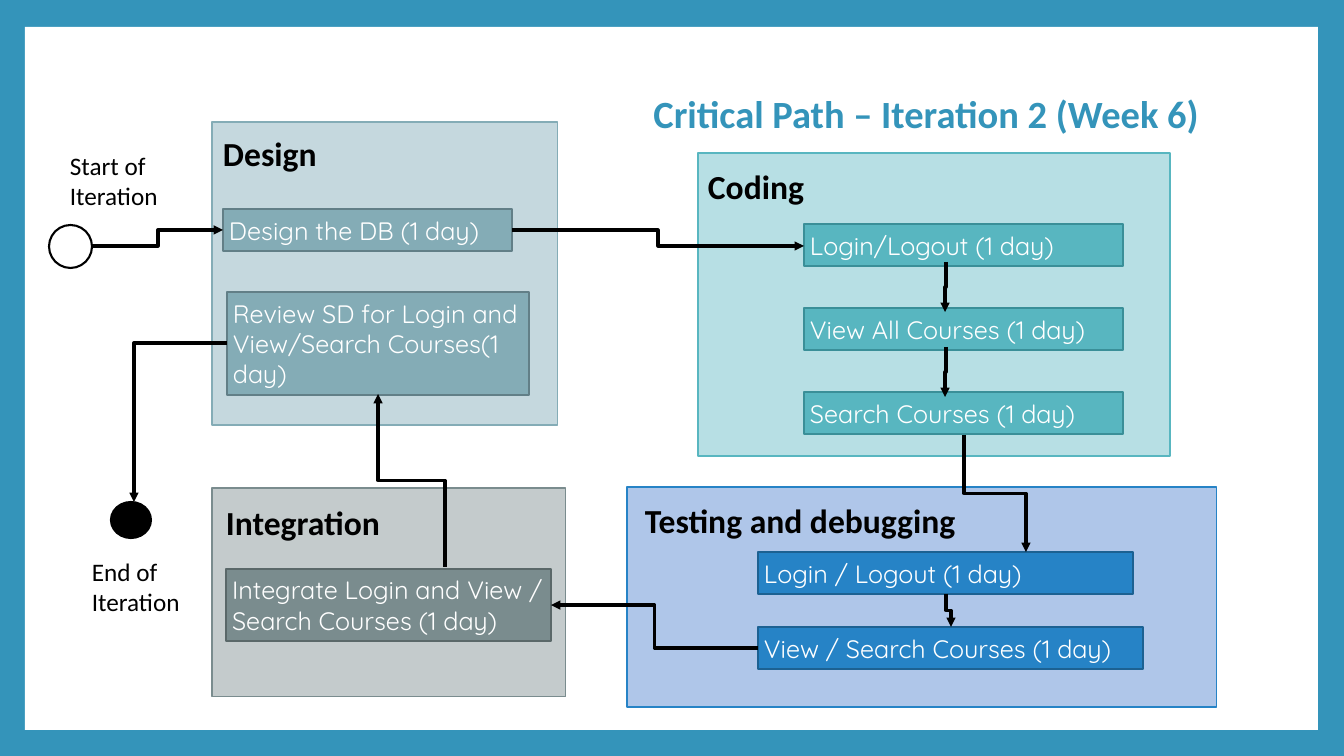
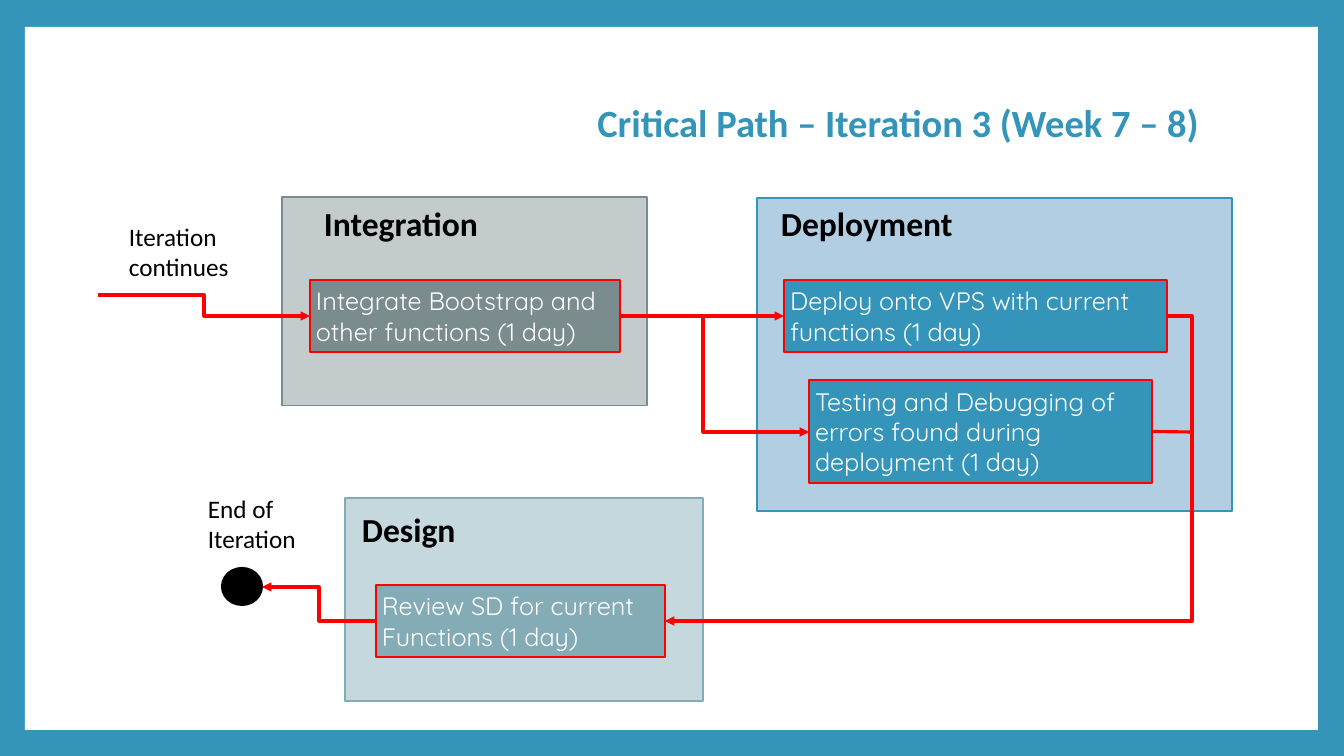
from collections import namedtuple
from dataclasses import dataclass

from lxml.etree import SubElement
from pptx import Presentation
from pptx.dml.color import RGBColor
from pptx.enum.shapes import MSO_CONNECTOR, MSO_SHAPE
from pptx.enum.text import MSO_ANCHOR, MSO_AUTO_SIZE, PP_ALIGN
from pptx.oxml.ns import qn
from pptx.util import Pt

PX = 9071  # EMU in one px, 100.8 px to the inch

Stage = namedtuple("Stage", "panel task edge")


@dataclass(frozen=True)
class Theme:
    accent: str = "3494BA"
    ink: str = "000000"
    paper: str = "FFFFFF"
    critical: str = "FF0000"
    design: Stage = Stage("C5D8DE", "84ACB6", "627F87")
    coding: Stage = Stage("B7DFE4", "58B6C0", "3A8F98")
    testing: Stage = Stage("AFC6E9", "2683C6", "1C6192")
    integration: Stage = Stage("C4CBCC", "7A8C8E", "5A6869")
    deployment: Stage = Stage("B1CEE2", "3494BA", "FF0000")
    text_font: str = "Calibri"
    task_font: str = "Quicksand"
    title_size: float = 27.5
    label_size: int = 24
    body_size: int = 18
    panel_line: float = 0.79
    task_line: float = 1.5
    link_line: float = 2.25


THEME = Theme()


def add_box(slide, preset, bounds, fill, edge, weight):
    box = slide.shapes.add_shape(preset, *(n * PX for n in bounds))
    box.shadow.inherit = False
    box.fill.solid()
    box.fill.fore_color.rgb = RGBColor.from_string(fill)
    if edge:
        box.line.color.rgb = RGBColor.from_string(edge)
        box.line.width = Pt(weight)
    else:
        box.line.fill.background()
    return box


def add_link(slide, start, end, route, colour, bend=0.5):
    """Routes: straight, plain (straight, no arrowhead), across, down,
    across-corner and down-corner; the first word is the first direction."""
    straight = route in ("straight", "plain")
    kind = MSO_CONNECTOR.STRAIGHT if straight else MSO_CONNECTOR.ELBOW
    link = slide.shapes.add_connector(kind, *(n * PX for n in start + end))
    link.line.color.rgb = RGBColor.from_string(colour)
    link.line.width = Pt(THEME.link_line)
    properties = link._element.spPr
    SubElement(properties, qn("a:effectLst"))
    if route != "plain":
        SubElement(link.line._get_or_add_ln(), qn("a:tailEnd"), type="triangle")
    if straight:
        return link

    # Turn the elbow a quarter when it sets off vertically
    dx, dy = end[0] - start[0], end[1] - start[1]
    turn, flip_h, flip_v = 0, dx < 0, dy < 0
    if route.startswith("down"):
        turn, flip_h, flip_v = 270, dy > 0, dx < 0
        middle_x, middle_y = link.left + link.width // 2, link.top + link.height // 2
        link.width, link.height = link.height, link.width
        link.left, link.top = middle_x - link.width // 2, middle_y - link.height // 2
    if flip_h and flip_v:
        turn, flip_h, flip_v = (turn + 180) % 360, False, False
    frame = properties.find(qn("a:xfrm"))
    frame.set("rot", str(turn * 60000))
    frame.set("flipH", str(int(flip_h)))
    frame.set("flipV", str(int(flip_v)))

    geometry = properties.find(qn("a:prstGeom"))
    if route.endswith("corner"):
        geometry.set("prst", "bentConnector2")
    else:
        SubElement(geometry.find(qn("a:avLst")), qn("a:gd"), name="adj1",
                   fmla=f"val {round(bend * 100000)}")
    return link


# Content: panels are (label, label bounds, panel bounds, stage),
# tasks (text, bounds, stage), nodes (bounds, fill), captions (text, bounds)
coding_tasks = ["Login/Logout (1 day)", "View All Courses (1 day)", "Search Courses (1 day)"]
iterations = [
    dict(
        title="Critical Path – Iteration 2 (Week 6)",
        title_height=81,
        colour=THEME.ink,
        panels=[
            ("Integration", (216, 497, 269, 50), (212, 488, 354, 209), THEME.integration),
            ("Design", (213, 128, 345, 50), (212, 122, 346, 303), THEME.design),
            ("Coding", (698, 161, 472, 50), (698, 153, 472, 303), THEME.coding),
            ("Testing and debugging", (635, 495, 360, 50), (627, 487, 590, 220), THEME.testing),
        ],
        tasks=[
            ("Design the DB (1 day)", (223, 209, 289, 42), THEME.design),
            ("Review SD for Login and View/Search Courses(1 day)",
             (227, 292, 302, 103), THEME.design),
            *((text, (804, 224 + 84 * row, 319, 42), THEME.coding)
              for row, text in enumerate(coding_tasks)),
            ("Login / Logout (1 day)", (758, 552, 375, 42), THEME.testing),
            ("View / Search Courses (1 day)", (758, 627, 385, 42), THEME.testing),
            ("Integrate Login and View / Search Courses (1 day)",
             (226, 569, 325, 72), THEME.integration),
        ],
        nodes=[((49, 225, 43, 43), THEME.paper), ((111, 502, 40, 36), THEME.ink)],
        captions=[("Start of Iteration", (60, 145, 114, 71)),
                  ("End of Iteration", (82, 551, 114, 71))],
        links=[
            ((93, 246), (223, 230), "across"),
            ((512, 230), (804, 246), "across"),
            ((946, 262), (945, 312), "down"),
            ((946, 347), (945, 397), "down"),
            ((964, 435), (1026, 552), "down"),
            ((946, 594), (951, 627), "down"),
            ((758, 648), (551, 605), "across"),
            ((445, 567), (378, 394), "down"),
            ((227, 343), (134, 502), "across-corner"),
        ],
        joins=[],
    ),
    dict(
        title="Critical Path – Iteration 3 (Week 7 – 8)",
        title_height=98,
        colour=THEME.critical,
        panels=[
            ("Deployment", (771, 198, 269, 50), (757, 198, 475, 313), THEME.deployment),
            ("Integration", (314, 198, 269, 50), (282, 197, 365, 209), THEME.integration),
            ("Design", (352, 504, 269, 50), (345, 498, 358, 203), THEME.design),
        ],
        tasks=[
            ("Integrate Bootstrap and other functions (1 day)",
             (310, 280, 310, 72), THEME.integration),
            ("Deploy onto VPS with current functions (1 day)",
             (784, 280, 383, 72), THEME.deployment),
            ("Testing and Debugging of errors found during deployment (1 day)",
             (809, 380, 343, 103), THEME.deployment),
            ("Review SD for current Functions (1 day)", (376, 585, 289, 72), THEME.design),
        ],
        nodes=[((222, 568, 40, 37), THEME.ink)],
        captions=[("End of Iteration", (198, 488, 114, 71)),
                  ("Iteration continues", (119, 216, 127, 71))],
        links=[
            ((98, 295), (310, 316), "across"),
            ((703, 316), (809, 432), "down-corner"),
            ((1167, 316), (665, 621), "across", -0.05),
            ((376, 621), (262, 587), "across"),
        ],
        # Straight links: start, end, route, task left from, task arrived at
        joins=[((620, 316), (784, 316), "straight", 0, 1),
               ((1152, 432), (1192, 432), "plain", 2, None)],
    ),
]

deck = Presentation()
deck.slide_width, deck.slide_height = 1344 * PX, 756 * PX
master = deck.slide_master
master.background.fill.solid()
master.background.fill.fore_color.rgb = RGBColor.from_string(THEME.accent)

for number, iteration in enumerate(iterations):
    slide = deck.slides.add_slide(deck.slide_layouts[5])

    # White page, held once by the master
    if number == 0:
        page = add_box(slide, MSO_SHAPE.RECTANGLE, (25, 27, 1293, 703), THEME.paper, None, 0)
        page._element.nvSpPr.cNvPr.set("id", "20")
        master.shapes._spTree.insert(2, page._element)

    # Title
    title = slide.shapes.title
    title.left, title.top = 151 * PX, 76 * PX
    title.width, title.height = 1058 * PX, iteration["title_height"] * PX
    title.text_frame.text = iteration["title"]
    title.text_frame.vertical_anchor = MSO_ANCHOR.MIDDLE
    title.text_frame.auto_size = MSO_AUTO_SIZE.NONE
    heading = title.text_frame.paragraphs[0]
    heading.alignment = PP_ALIGN.RIGHT
    heading.line_spacing = 0.9
    heading.font.name = THEME.text_font
    heading.font.size = Pt(THEME.title_size)
    heading.font.bold = True
    heading.font.color.rgb = RGBColor.from_string(THEME.accent)

    # Stage panels
    for _, _, bounds, stage in iteration["panels"]:
        add_box(slide, MSO_SHAPE.RECTANGLE, bounds, stage.panel, stage.task, THEME.panel_line)

    # Panel labels and captions
    labels = [(text, bounds, THEME.label_size, True)
              for text, bounds, _, _ in iteration["panels"]]
    labels += [(text, bounds, THEME.body_size, False)
               for text, bounds in iteration["captions"]]
    for text, bounds, size, bold in labels:
        label = slide.shapes.add_textbox(*(n * PX for n in bounds)).text_frame
        label.word_wrap = True
        label.auto_size = MSO_AUTO_SIZE.SHAPE_TO_FIT_TEXT
        label.text = text
        font = label.paragraphs[0].font
        font.name, font.size, font.bold = THEME.text_font, Pt(size), bold
        font.color.rgb = RGBColor.from_string(THEME.ink)

    # Tasks
    tasks = []
    for text, bounds, stage in iteration["tasks"]:
        edge = THEME.critical if iteration["colour"] == THEME.critical else stage.edge
        task = add_box(slide, MSO_SHAPE.RECTANGLE, bounds, stage.task, edge, THEME.task_line)
        body = task.text_frame
        body.margin_left = body.margin_right = body.margin_top = body.margin_bottom = 6 * PX
        body.word_wrap = True
        body.auto_size = MSO_AUTO_SIZE.SHAPE_TO_FIT_TEXT
        body.vertical_anchor = MSO_ANCHOR.MIDDLE
        body.text = text
        body.paragraphs[0].alignment = PP_ALIGN.LEFT
        font = body.paragraphs[0].font
        font.name, font.size = THEME.task_font, Pt(THEME.body_size)
        font.color.rgb = RGBColor.from_string(THEME.paper)
        tasks.append(task)

    # Start and end nodes
    for bounds, fill in iteration["nodes"]:
        add_box(slide, MSO_SHAPE.OVAL, bounds, fill, THEME.ink, THEME.task_line)

    # Links between tasks
    for start, end, route, *bend in iteration["links"]:
        add_link(slide, start, end, route, iteration["colour"], *bend)
    for start, end, route, source, target in iteration["joins"]:
        link = add_link(slide, start, end, route, iteration["colour"])
        link.begin_connect(tasks[source], 3)
        if target is not None:
            link.end_connect(tasks[target], 1)

deck.save("out.pptx")
